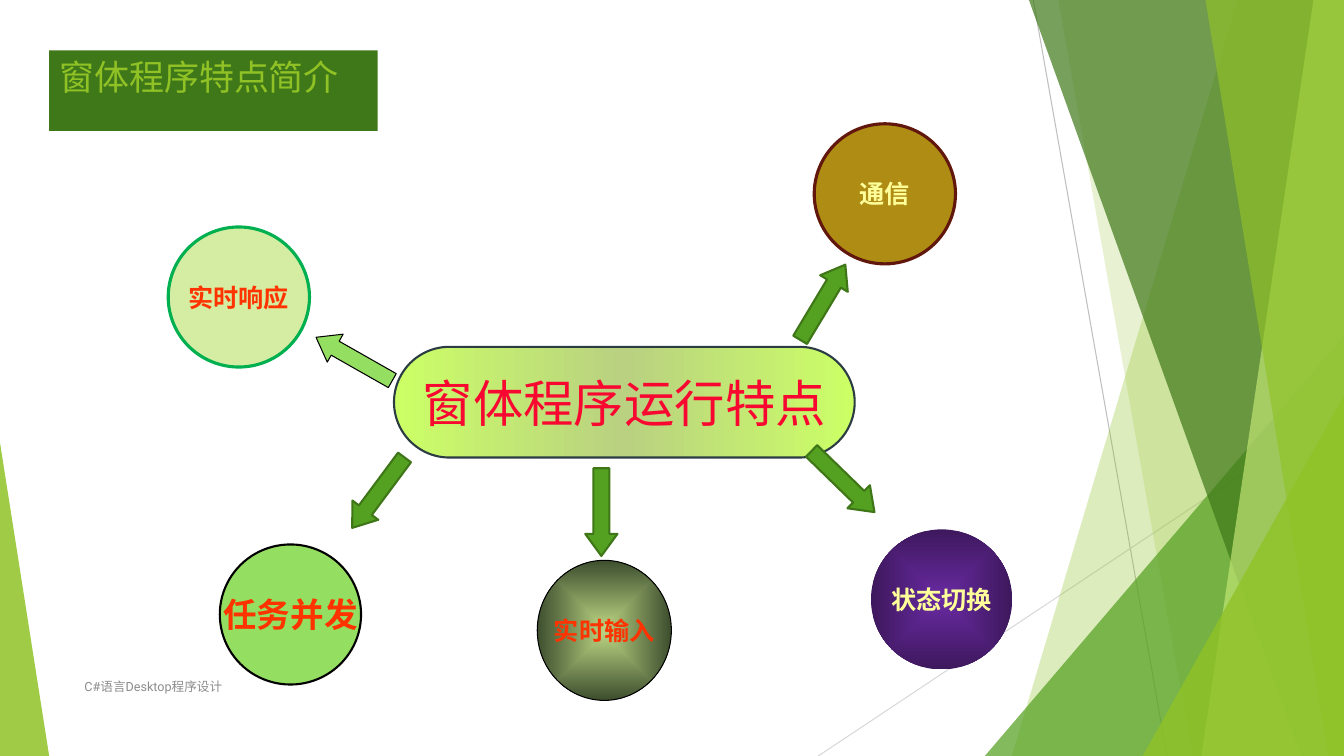
from dataclasses import dataclass
from typing import Optional

from lxml import etree
from pptx import Presentation
from pptx.dml.color import RGBColor
from pptx.enum.shapes import MSO_CONNECTOR, MSO_SHAPE
from pptx.enum.text import MSO_ANCHOR, MSO_AUTO_SIZE, PP_ALIGN
from pptx.oxml.ns import qn
from pptx.util import Cm, Pt

STRAIGHT = MSO_CONNECTOR.STRAIGHT
TRIANGLE, OVAL = MSO_SHAPE.ISOSCELES_TRIANGLE, MSO_SHAPE.OVAL
PILL, ARROW = MSO_SHAPE.ROUNDED_RECTANGLE, MSO_SHAPE.RIGHT_ARROW
MIDDLE, TOP = MSO_ANCHOR.MIDDLE, MSO_ANCHOR.TOP
CENTER, LEFT = PP_ALIGN.CENTER, PP_ALIGN.LEFT
NO_AUTOFIT = MSO_AUTO_SIZE.NONE
WIDTH, HEIGHT = 33.87, 19.05  # all lengths in centimetres
ARROW_LENGTH, ARROW_WIDTH = 2.21, 0.81


@dataclass(frozen=True)
class Theme:
    lime: str = "90C226"
    green: str = "54A021"
    forest: str = "3F7819"
    pale_lime: str = "C0E474"
    light_green: str = "94DE61"
    arrow_edge: str = "3E7618"
    black: str = "000000"
    orange: str = "FF3300"
    cream: str = "FFFF99"
    hub_text: str = "F80830"
    hub_edge: str = "2C3C43"
    footer_text: str = "8C8C8C"
    body_font: str = "Arial"
    title_font: str = "Roboto"
    title_size: float = 25
    footer_size: float = 9
    hub_size: float = 36
    node_size: float = 18
    large_node_size: float = 24


THEME = Theme()


@dataclass(frozen=True)
class Paint:
    """One colour, or several evenly spaced gradient colours."""
    colors: tuple[str, ...]
    from_center: bool = False
    edge: Optional[str] = None
    edge_width: float = 0


@dataclass(frozen=True)
class Band:
    """A translucent band from a slanted left side to the right slide edge."""
    top_x: float
    bottom_x: float
    color: str
    opacity: int


@dataclass(frozen=True)
class Wedge:
    """A right triangle standing on the bottom of the slide."""
    left: float
    top: float
    width: float
    apex: float
    color: str
    opacity: int


@dataclass(frozen=True)
class Node:
    text: str
    left: float
    top: float
    paint: Paint
    color: str
    size: float = THEME.node_size
    width: float = 3.56
    height: float = 3.53
    bold: bool = True
    kind: int = OVAL


@dataclass(frozen=True)
class Arrow:
    left: float
    top: float
    angle: float
    paint: Paint = Paint((THEME.green,), edge=THEME.arrow_edge, edge_width=1.5)


HAIRLINES = [((26.04, 0), (29.41, HEIGHT), "BFBFBF"),
             ((WIDTH, 10.24), (20.62, HEIGHT), "D9D9D9")]
FACETS = [
    Band(31.19, 25.5, THEME.lime, 30),
    Band(26.67, 30.05, THEME.lime, 20),
    Wedge(24.82, 8.46, 9.05, 1, THEME.green, 72),
    Band(25.93, 32.79, THEME.forest, 70),
    Band(33.1, 30.28, THEME.pale_lime, 70),
    Band(30.38, 33.48, THEME.lime, 65),
    Wedge(28.8, 9.98, 5.07, 1, THEME.lime, 80),
    Wedge(0, 11.15, 1.24, 0, THEME.lime, 85),
]
NODES = [
    Node("实时输入", 13.54, 14.12, Paint(("B9D181", "3D4E2E"), True, THEME.black, 0.75),
         THEME.orange, width=3.38),
    Node("状态切换", 21.95, 13.34, Paint(("692AA2", "3D185D"), True), THEME.cream),
    Node("任务并发", 5.54, 13.72, Paint((THEME.light_green,), edge=THEME.black, edge_width=1.5),
         THEME.orange, THEME.large_node_size),
    Node("实时响应", 4.24, 5.72, Paint(("D5EDA2",), edge="00B050", edge_width=2.25), THEME.orange),
    Node("通信", 20.52, 3.12, Paint(("AF8C14",), edge="62170D", edge_width=2.25), THEME.cream),
    Node("窗体程序运行特点", 9.93, 8.74,
         Paint(("CCFF66", "B9D181", "CCFF66"), edge=THEME.hub_edge, edge_width=1.5),
         THEME.hub_text, THEME.hub_size, 11.61, 2.79, False, PILL),
]
ARROWS = [
    Arrow(19.63, 7.21, 301),
    Arrow(20.14, 11.73, 44.2),
    Arrow(14.05, 12.5, 90),
    Arrow(8.43, 12.01, 126.6),
    Arrow(7.82, 8.64, 209.6, Paint((THEME.light_green,), edge=THEME.black, edge_width=0.75)),
]


def fill_gradient(shape, paint: Paint) -> None:
    shape.fill.gradient()
    gradient = shape.element.spPr.find(qn("a:gradFill"))
    for child in list(gradient):
        gradient.remove(child)
    stops = etree.SubElement(gradient, qn("a:gsLst"))
    for index, color in enumerate(paint.colors):
        position = 100000 * index // (len(paint.colors) - 1)
        stop = etree.SubElement(stops, qn("a:gs"), pos=str(position))
        etree.SubElement(stop, qn("a:srgbClr"), val=color)
    if paint.from_center:
        route = etree.SubElement(gradient, qn("a:path"), {"path": "shape"})
        etree.SubElement(route, qn("a:fillToRect"), {side: "50000" for side in "ltrb"})
    else:
        etree.SubElement(gradient, qn("a:lin"), ang="0", scaled="0")


def apply_paint(shape, paint: Paint) -> None:
    shape.shadow.inherit = False
    if len(paint.colors) > 1:
        fill_gradient(shape, paint)
    else:
        shape.fill.solid()
        shape.fill.fore_color.rgb = RGBColor.from_string(paint.colors[0])
    if paint.edge:
        shape.line.color.rgb = RGBColor.from_string(paint.edge)
        shape.line.width = Pt(paint.edge_width)
    else:
        shape.line.fill.background()


def write(shape, text: str, font: str, size: float, color: str, align=LEFT,
          anchor=MIDDLE, wrap: bool = True, bold: bool = False) -> None:
    frame = shape.text_frame
    frame.auto_size = NO_AUTOFIT
    frame.word_wrap = wrap
    frame.vertical_anchor = anchor
    para = frame.paragraphs[0]
    para.text = text
    para.alignment = align
    para.font.name, para.font.size, para.font.bold = font, Pt(size), bold
    para.font.color.rgb = RGBColor.from_string(color)


def draw_hairline(page, start: tuple, end: tuple, color: str) -> None:
    line = page.shapes.add_connector(STRAIGHT, *map(Cm, start + end))
    line.line.color.rgb = RGBColor.from_string(color)
    line.line.width = Pt(0.75)
    etree.SubElement(line.element.spPr, qn("a:effectLst"))


def draw_facet(page, facet: Band | Wedge) -> None:
    if isinstance(facet, Band):
        builder = page.shapes.build_freeform(Cm(facet.top_x), 0)
        corners = [(WIDTH, 0), (WIDTH, HEIGHT), (facet.bottom_x, HEIGHT)]
        builder.add_line_segments([(Cm(x), Cm(y)) for x, y in corners])
        shape = builder.convert_to_shape()
    else:
        shape = page.shapes.add_shape(TRIANGLE, Cm(facet.left), Cm(facet.top),
                                      Cm(facet.width), Cm(HEIGHT - facet.top))
        shape.adjustments[0] = facet.apex
    apply_paint(shape, Paint((facet.color,)))
    color = shape.element.spPr.find(qn("a:solidFill"))[0]
    etree.SubElement(color, qn("a:alpha"), val=str(facet.opacity * 1000))


def draw_node(page, node: Node) -> None:
    shape = page.shapes.add_shape(node.kind, Cm(node.left), Cm(node.top),
                                  Cm(node.width), Cm(node.height))
    if node.kind == PILL:
        shape.adjustments[0] = 0.5
    apply_paint(shape, node.paint)
    write(shape, node.text, THEME.body_font, node.size, node.color, CENTER,
          wrap=False, bold=node.bold)


def draw_arrow(page, arrow: Arrow) -> None:
    shape = page.shapes.add_shape(ARROW, Cm(arrow.left), Cm(arrow.top),
                                  Cm(ARROW_LENGTH), Cm(ARROW_WIDTH))
    shape.adjustments[0], shape.adjustments[1] = 0.5, 0.685
    shape.rotation = arrow.angle
    apply_paint(shape, arrow.paint)


def main() -> None:
    deck = Presentation()
    deck.slide_width, deck.slide_height = Cm(WIDTH), Cm(HEIGHT)
    page = deck.slides.add_slide(deck.slide_layouts[5])
    title = page.shapes.title
    title.left, title.top, title.width, title.height = map(Cm, (1.24, 1.27, 8.28, 2.03))
    title.fill.solid()
    title.fill.fore_color.rgb = RGBColor.from_string(THEME.forest)
    write(title, "窗体程序特点简介", THEME.title_font, THEME.title_size, THEME.lime, anchor=TOP)
    for start, end, color in HAIRLINES:
        draw_hairline(page, start, end, color)
    for facet in FACETS:
        draw_facet(page, facet)
    footer = page.shapes.add_textbox(*map(Cm, (1.88, 16.79, 17.5, 1.02)))
    write(footer, "C#语言Desktop程序设计", THEME.title_font, THEME.footer_size, THEME.footer_text)
    for node in NODES:
        draw_node(page, node)
    for arrow in ARROWS:
        draw_arrow(page, arrow)
    deck.save("out.pptx")


if __name__ == "__main__":
    main()
